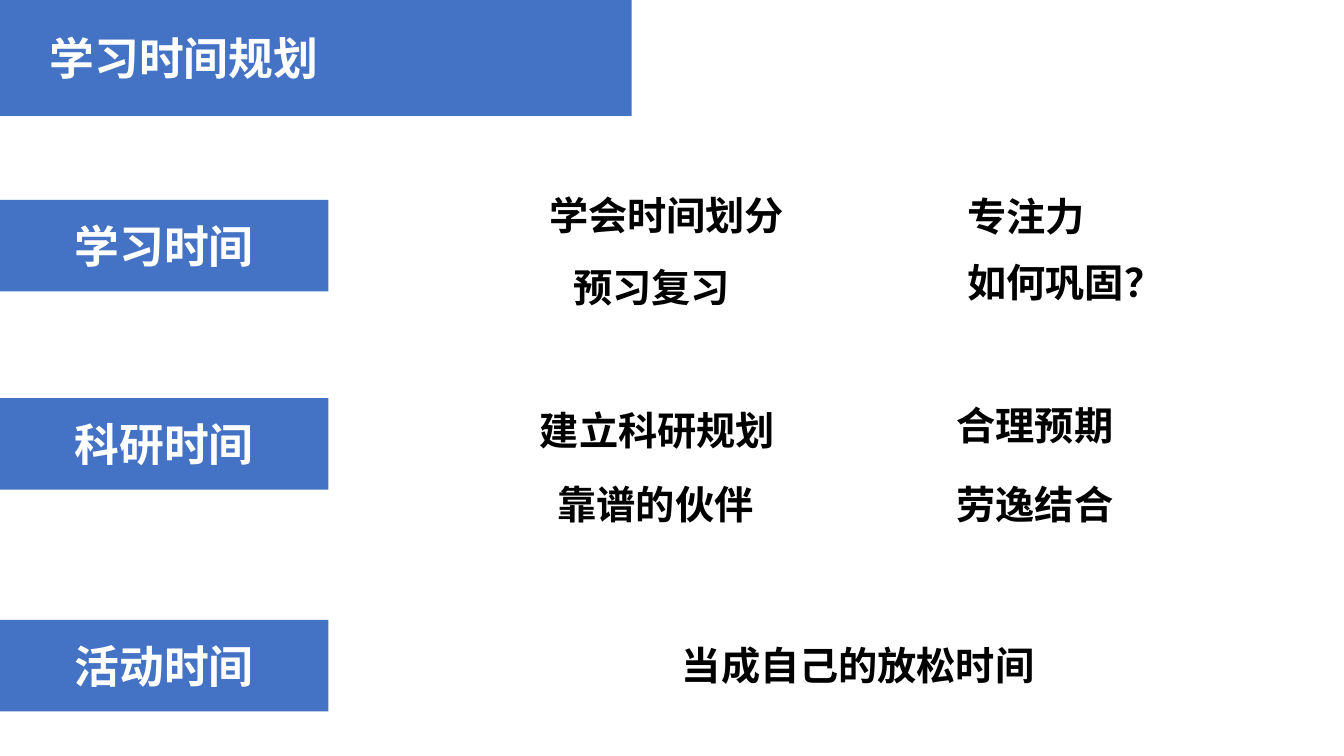
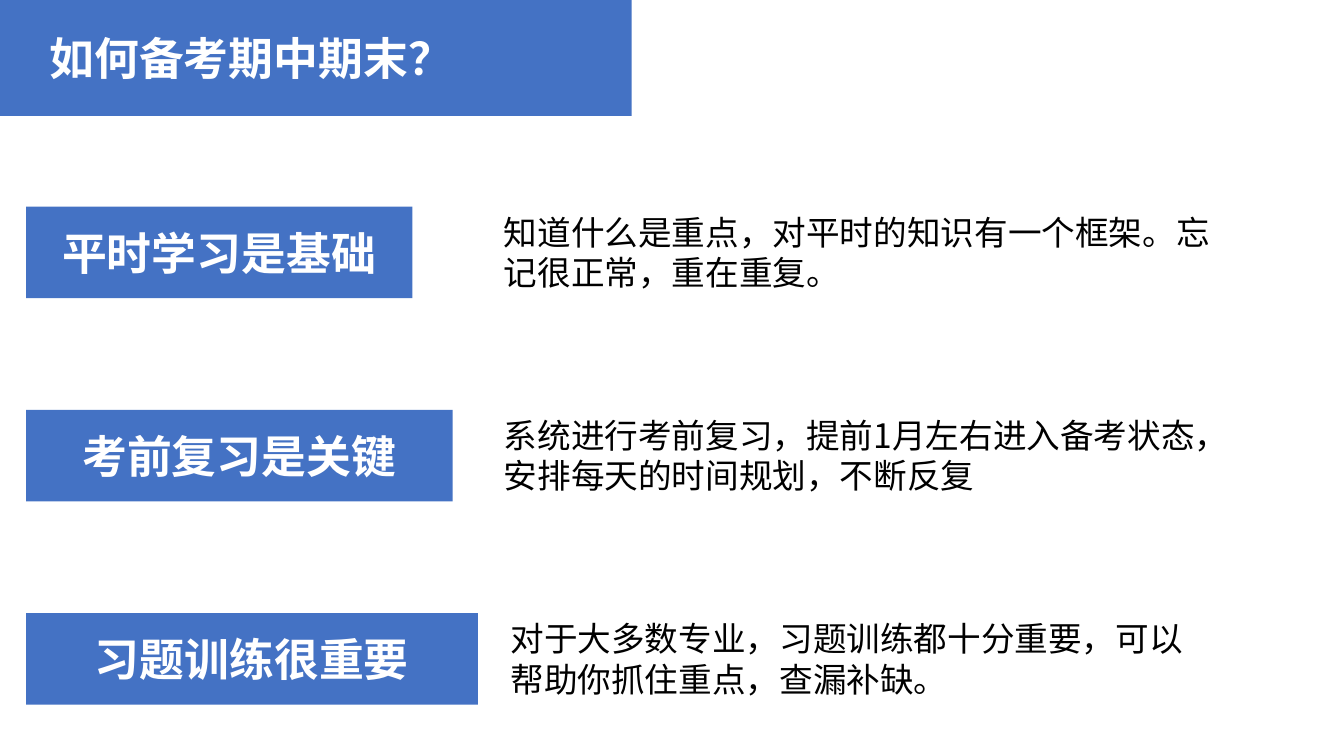
from dataclasses import dataclass

from lxml.etree import SubElement
from pptx import Presentation
from pptx.dml.color import RGBColor
from pptx.enum.shapes import MSO_SHAPE as Preset
from pptx.enum.text import MSO_ANCHOR as Anchor, PP_ALIGN as Align
from pptx.oxml.ns import qn
from pptx.util import Inches, Pt

COLUMNS, ROWS = 160, 90
WIDTH, HEIGHT = Inches(13.33), Inches(7.5)


@dataclass(frozen=True)
class Theme:
    font: str = "Noto Sans CJK SC"
    band: RGBColor = RGBColor(0x44, 0x72, 0xC4)
    light: RGBColor = RGBColor(0xFF, 0xFF, 0xFF)
    dark: RGBColor = RGBColor(0, 0, 0)
    heading: int = 32
    note: int = 28
    body: int = 24


@dataclass(frozen=True)
class Box:
    left: float
    top: float
    width: float
    height: float

    def inner(self, left, top, width, height):
        return Box(self.left + left, self.top + top, width, height)

    def place(self):
        across, down = WIDTH / COLUMNS, HEIGHT / ROWS
        return [round(value * step) for value, step in zip(
            (self.left, self.top, self.width, self.height),
            (across, down, across, down))]


THEME = Theme()
HEADING = {"size": Pt(THEME.heading), "bold": True, "color": THEME.light}
NOTE = {"size": Pt(THEME.note), "bold": True, "color": THEME.dark}
BODY = {"size": Pt(THEME.body), "bold": False, "color": THEME.dark}

TIME_PLAN = [
    (23.8, "学习时间", [
        (64.2, -1.6, "学会时间划分"), (114, -1.5, "专注力"),
        (67.1, 6.9, "预习复习"), (114, 6.4, "如何巩固？")]),
    (47.4, "科研时间", [
        (63.1, 0.4, "建立科研规划"), (112.7, -0.2, "合理预期"),
        (65.2, 9.2, "靠谱的伙伴"), (112.7, 9.2, "劳逸结合")]),
    (73.8, "活动时间", [(80, 2, "当成自己的放松时间")]),
]
EXAM_TIPS = [
    (46, "平时学习是基础", 55.7, 87.4,
     "知道什么是重点，对平时的知识有一个框架。忘记很正常，重在重复。"),
    (50.8, "考前复习是关键", 55.7, 85.7,
     "系统进行考前复习，提前1月左右进入备考状态，安排每天的时间规划，不断反复"),
    (53.8, "习题训练很重要", 56.5, 85.7,
     "对于大多数专业，习题训练都十分重要，可以帮助你抓住重点，查漏补缺。"),
]


def write(frame, text, style, align=Align.LEFT):
    frame.word_wrap = True
    para = frame.paragraphs[0]
    para.alignment = align
    span = para.add_run()
    span.text = text
    span.font.name = THEME.font
    for name, value in style.items():
        if name == "color":
            span.font.color.rgb = value
        else:
            setattr(span.font, name, value)
    SubElement(span.font._element, qn("a:ea"), typeface=THEME.font)


def add_text(page, box, text, style):
    write(page.shapes.add_textbox(*box.place()).text_frame, text, style)


def add_band(page, box, label=None):
    band = page.shapes.add_shape(Preset.RECTANGLE, *box.place())
    band.shadow.inherit = False
    band.fill.solid()
    band.fill.fore_color.rgb = THEME.band
    band.line.fill.background()
    if label:
        band.text_frame.vertical_anchor = Anchor.MIDDLE
        write(band.text_frame, label, HEADING, Align.CENTER)


def add_page(deck, title):
    page = deck.slides.add_slide(deck.slide_layouts[6])
    header = Box(0, 0, 75.2, 13.8)
    add_band(page, header)
    add_text(page, header.inner(4.7, 3.1, 80, 7.7), title, HEADING)
    return page


def add_plan_row(page, box, label, notes):
    add_band(page, box.inner(0, 0, 39.1, box.height), label)
    for left, top, text in notes:
        add_text(page, box.inner(left, top, 54.6, 6.9), text, NOTE)


def add_tip_row(page, box, band_width, label, left, width, text):
    add_band(page, box.inner(0, 0, band_width, box.height), label)
    add_text(page, box.inner(left, 0, width, box.height), text, BODY)


def main():
    deck = Presentation()
    deck.slide_width, deck.slide_height = WIDTH, HEIGHT

    page = add_page(deck, "学习时间规划")
    for top, label, notes in TIME_PLAN:
        add_plan_row(page, Box(0, top, COLUMNS, 10.9), label, notes)

    page = add_page(deck, "如何备考期中期末？")
    for index, tip in enumerate(EXAM_TIPS):
        add_tip_row(page, Box(3.1, 24.6 + index * 24.2, 156.9, 10.9), *tip)

    deck.save("out.pptx")


if __name__ == "__main__":
    main()
